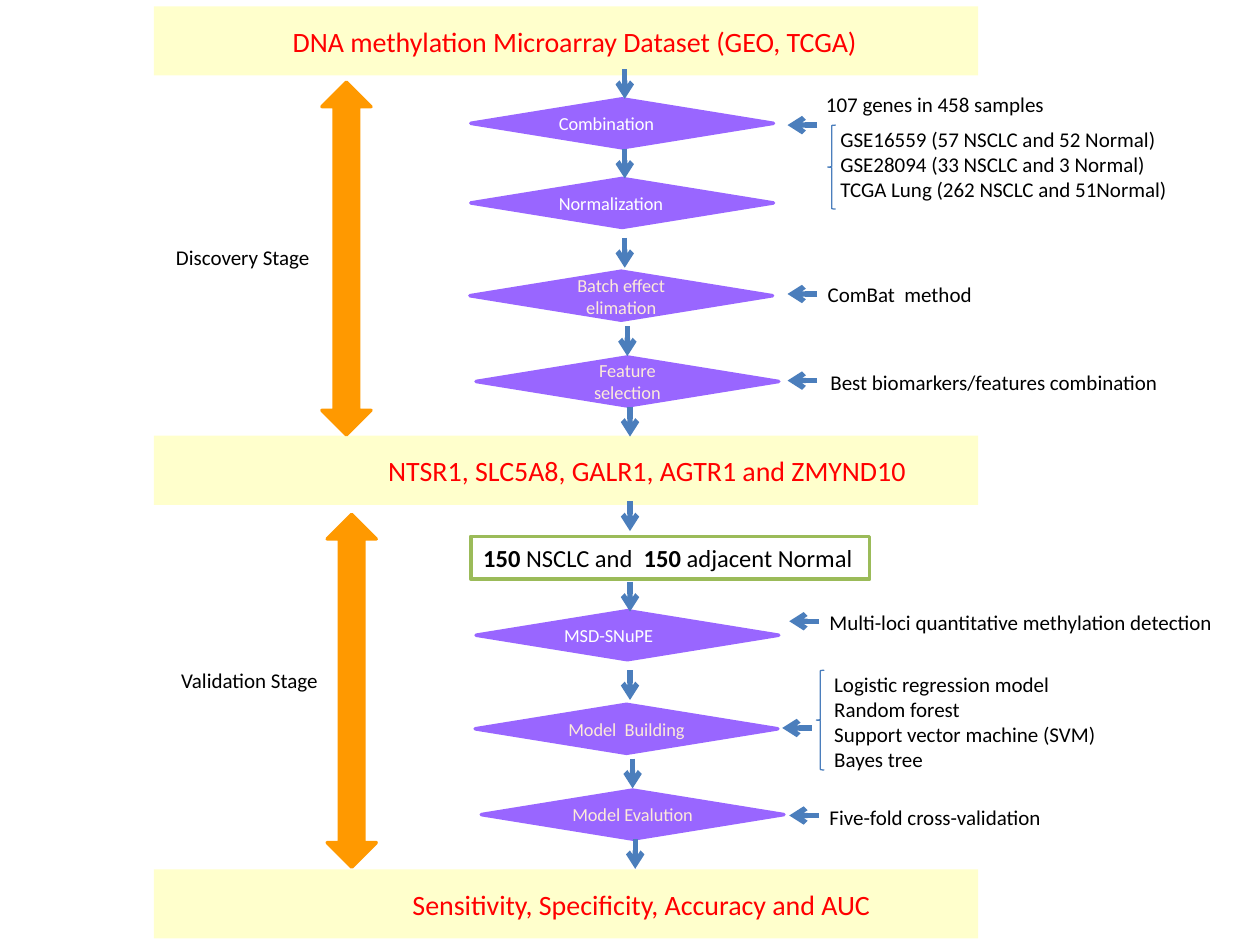
import dataclasses

import lxml.etree
import pptx
import pptx.dml.color
import pptx.enum.shapes
import pptx.enum.text
import pptx.oxml.ns
import pptx.util

Pt = pptx.util.Pt
Kind = pptx.enum.shapes.MSO_SHAPE
Align = pptx.enum.text.PP_ALIGN
Anchor = pptx.enum.text.MSO_ANCHOR


@dataclasses.dataclass(frozen=True)
class Theme:
    font: str = "Calibri"
    band: str = "FFFFCC"
    head: str = "FF0000"
    step: str = "9966FF"
    white: str = "FFFFFF"
    cream: str = "FDEADA"
    span: str = "FF9900"
    flow: str = "4B7EBC"
    frame: str = "9BBB59"
    ink: str = "000000"
    big: float = 16
    mid: float = 14
    note: float = 12
    small: float = 10.5


THEME = Theme()
REACH = 17  # length of every flow arrow

# Bands: top, extra left inset, text (the first one is the title)
TITLE = (3.6, 10, "DNA methylation Microarray Dataset (GEO, TCGA)")
BANDS = [
    (249, 92.5, "NTSR1, SLC5A8, GALR1, AGTR1 and ZMYND10"),
    (496.8, 86, "Sensitivity, Specificity, Accuracy and AUC"),
]
# Steps: left, top, text, centred
STEPS = [
    (269, 56.5, "Combination", False),
    (269, 102, "Normalization", False),
    (268.5, 155, "Batch effect elimation", True),
    (272, 204, "Feature selection", True),
    (272, 349, "MSD-SNuPE", False),
    (271.5, 402.5, "Model  Building", True),
    (275, 451.5, "Model Evalution", True),
]
# Start points of the arrows
DOWN = [(357, 39.5), (357, 85), (357, 136), (358.5, 186.5), (360, 232.5),
        (360, 286.5), (360, 332.5), (360, 383), (361.5, 433.5), (363, 479.5)]
LEFT = [(467, 71.5), (467, 168), (467, 217.5), (468, 355), (464, 416), (468, 466)]
# Stages: arrow left, arrow top, label left, label top, label
STAGES = [
    (184, 47, 93.5, 136, "Discovery Stage"),
    (187, 294, 96.5, 378, "Validation Stage"),
]
# Notes: left, top, width, left inset, text
NOTES = [
    (462, 49, 144, 10, "107 genes in 458 samples"),
    (461, 157.5, 106, 12, "ComBat  method"),
    (459.5, 207.5, 212, 15, "Best biomarkers/features combination"),
    (462, 345, 241, 12, "Multi-loci quantitative methylation detection"),
    (462, 456, 142, 12, "Five-fold cross-validation"),
]
# Lists: box, brace box, lines
LISTS = [
    ((473, 68.5, 203, 65.5), (473, 71.5, 4.5, 48),
     ["GSE16559 (57 NSCLC and 52 Normal)", "GSE28094 (33 NSCLC and 3 Normal)",
      "TCGA Lung (262 NSCLC and 51Normal)"]),
    ((469.5, 380, 180, 65.5), (466.5, 383, 4.5, 57),
     ["Logistic regression model", "Random forest",
      "Support vector machine (SVM)", "Bayes tree"]),
]
COUNT = [("150", True), (" NSCLC and  ", False), ("150", True), (" adjacent Normal", False)]


def rgb(code):
    return pptx.dml.color.RGBColor.from_string(code)


def place(shape, box):
    shape.left, shape.top, shape.width, shape.height = map(Pt, box)


def paint(shape, fill=None, line=None, width=2):
    if fill:
        shape.fill.solid()
        shape.fill.fore_color.rgb = rgb(fill)
    else:
        shape.fill.background()
    if line:
        shape.line.color.rgb = rgb(line)
        shape.line.width = Pt(width)
    else:
        shape.line.fill.background()


def style(frame, size, color, align=Align.LEFT, anchor=Anchor.TOP):
    frame.word_wrap = True
    frame.auto_size = pptx.enum.text.MSO_AUTO_SIZE.NONE
    frame.vertical_anchor = anchor
    for para in frame.paragraphs:
        para.alignment = align
        for run in para.runs:
            run.font.name = THEME.font
            run.font.size = Pt(size)
            run.font.color.rgb = rgb(color)


def add_form(slide, kind, box, fill=None, line=None, width=2):
    shape = slide.shapes.add_shape(kind, *map(Pt, box))
    shape.shadow.inherit = False
    paint(shape, fill, line, width)
    return shape


def fill_band(shape, inset, text):
    paint(shape, THEME.band)
    frame = shape.text_frame
    frame.text = text
    frame.margin_left = Pt(7.2 + inset)
    style(frame, THEME.big, THEME.head, Align.CENTER, Anchor.MIDDLE)


def band_box(top):
    return 88, top, 471, 39.5


def add_step(slide, left, top, text, centred):
    shape = add_form(slide, Kind.FLOWCHART_DECISION, (left, top, 173, 28),
                     THEME.step, THEME.step)
    shape.text_frame.text = text
    pale = centred and THEME.cream or THEME.white
    align = Align.CENTER if centred else Align.LEFT
    style(shape.text_frame, THEME.small, pale, align, Anchor.MIDDLE)


def add_arrow(slide, start, dx, dy):
    x, y = start
    line = slide.shapes.add_connector(
        pptx.enum.shapes.MSO_CONNECTOR.STRAIGHT, Pt(x), Pt(y), Pt(x + dx), Pt(y + dy))
    line.line.color.rgb = rgb(THEME.flow)
    line.line.width = Pt(3)
    # Arrowhead and no shadow
    props = line._element.spPr
    qn = pptx.oxml.ns.qn
    lxml.etree.SubElement(props.find(qn("a:ln")), qn("a:tailEnd"), type="arrow")
    lxml.etree.SubElement(props, qn("a:effectLst"))


def add_note(slide, left, top, width, inset, text):
    box = slide.shapes.add_textbox(Pt(left), Pt(top), Pt(width), Pt(21.5))
    frame = box.text_frame
    frame.text = text
    frame.margin_left, frame.margin_right = Pt(inset), 0
    style(frame, THEME.note, THEME.ink)


def fill_list(slide, holder, box, brace, lines):
    place(holder, box)
    frame = holder.text_frame
    frame.text = "\n".join(lines)
    frame.margin_right = 0
    style(frame, THEME.note, THEME.ink)
    for para in frame.paragraphs:
        para.space_before = Pt(0)
        props = para._p.get_or_add_pPr()
        props.set("marL", "0")
        props.set("indent", "0")
        lxml.etree.SubElement(props, pptx.oxml.ns.qn("a:buNone"))
    add_form(slide, Kind.LEFT_BRACE, brace, line=THEME.flow, width=0.75)


def add_count(slide):
    shape = add_form(slide, Kind.RECTANGLE, (269, 306.5, 228, 24.5),
                     THEME.white, THEME.frame)
    frame = shape.text_frame
    frame.margin_right = 0
    for text, bold in COUNT:
        run = frame.paragraphs[0].add_run()
        run.text = text
        run.font.bold = bold
    style(frame, THEME.mid, THEME.ink)


def main():
    deck = pptx.Presentation()
    deck.slide_width, deck.slide_height = Pt(720), Pt(540)
    slide = deck.slides.add_slide(deck.slide_layouts.get_by_name("Two Content"))
    title, *holders = [s for s in slide.placeholders if s.placeholder_format.idx < 3]

    # Title and result bands
    top, inset, text = TITLE
    place(title, band_box(top))
    fill_band(title, inset, text)
    for top, inset, text in BANDS:
        fill_band(add_form(slide, Kind.RECTANGLE, band_box(top)), inset, text)

    # Stages
    for left, top, x, y, label in STAGES:
        add_form(slide, Kind.UP_DOWN_ARROW, (left, top, 28, 201.5), THEME.span, THEME.span)
        add_note(slide, x, y, 94, 7.2, label)

    # Workflow
    for step in STEPS:
        add_step(slide, *step)
    add_count(slide)
    for start in DOWN:
        add_arrow(slide, start, 0, REACH)

    # Side notes and lists
    for start in LEFT:
        add_arrow(slide, start, -REACH, 0)
    for note in NOTES:
        add_note(slide, *note)
    for holder, item in zip(holders, LISTS):
        fill_list(slide, holder, *item)

    deck.save("out.pptx")


main()
